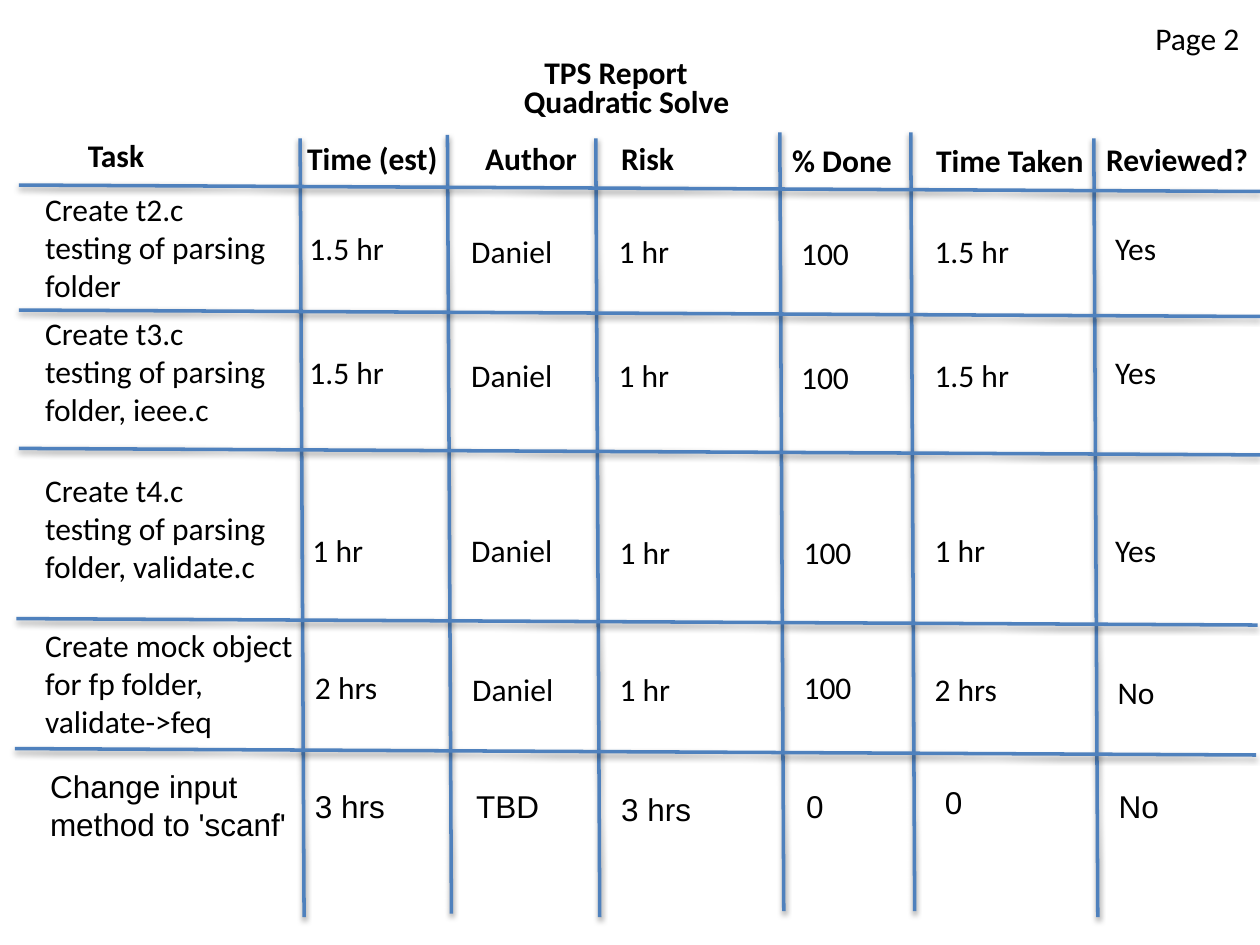
from lxml import etree
from pptx import Presentation, util as u
from pptx.dml.color import RGBColor
from pptx.enum import shapes, text
from pptx.oxml import parse_xml
from pptx.oxml.ns import nsdecls

COLORS = {"ink": "000000", "rule": "4F81BD"}
TEXT_HEIGHT = 1.02
HEADER_WIDTH = 3.86
TASK_WIDTH = 5.59
NEW_TASK_CELL_WIDTH = 2.54
VALUE_WIDTHS = {"1.5 hr": 2.01, "1 hr": 1.52, "2 hrs": 1.75, "Daniel": 2.13,
                "100": 1.47, "Yes": 1.24, "No": 1.24}

HEADERS = [("Task", 1.52, 2.62), ("Time (est)", 5.94, 2.67),
           ("Author", 9.53, 2.67), ("Risk", 12.27, 2.67),
           ("% Done", 15.72, 2.72), ("Time Taken", 18.62, 2.72),
           ("Reviewed?", 22.05, 2.69)]

# Each row: cell texts, cell lefts, cell tops (cm)
FIRST_LEFTS = [0.66, 5.99, 9.25, 12.22, 15.9, 18.59, 22.23]
FIRST_TOPS = [3.71, 4.5, 4.55, 4.55, 4.6, 4.55, 4.5]
ROW_STEP = 2.5
FINISHED = ["1.5 hr", "Daniel", "1 hr", "100", "1.5 hr", "Yes"]
ROWS = [
    (["Create t2.c\ntesting of parsing\nfolder", *FINISHED],
     FIRST_LEFTS, FIRST_TOPS),
    (["Create t3.c\ntesting of parsing\nfolder, ieee.c", *FINISHED],
     FIRST_LEFTS, [top + ROW_STEP for top in FIRST_TOPS]),
    (["Create t4.c\ntesting of parsing\nfolder, validate.c",
      "1 hr", "Daniel", "1 hr", "100", "1 hr", "Yes"],
     [0.66, 6.05, 9.25, 12.24, 15.95, 18.59, 22.23],
     [9.37, 10.59, 10.59, 10.62, 10.62, 10.59, 10.59]),
    (["Create mock object\nfor fp folder,\nvalidate->feq",
      "2 hrs", "Daniel", "1 hr", "100", "2 hrs", "No"],
     [0.66, 6.1, 9.27, 12.24, 15.95, 18.59, 22.28],
     [12.5, 13.34, 13.39, 13.39, 13.34, 13.39, 13.44]),
]
NEW_TASK_ROW = (
    ["Change input method to 'scanf'", "3 hrs", "TBD", "3 hrs", "0", "0", "No"],
    [0.76, 6.1, 9.35, 12.27, 16, 18.8, 22.3],
    [15.34, 15.75, 15.75, 15.8, 15.75, 15.67, 15.75])

# Start points of the slightly slanted rules (cm)
COLUMN_RULES = [(6.05, 2.79), (9.02, 2.72), (12.01, 2.79),
                (15.72, 2.67), (18.36, 2.67), (22.05, 2.79)]
COLUMN_RUN = (0.08, 15.7)
ROW_RULES = [(0.38, 3.73), (0.38, 6.25), (0.38, 9.04), (0.33, 12.47), (0.3, 15.09)]
ROW_RUN = (25.02, 0.13)

SHADOW = (f'<a:effectLst {nsdecls("a")}><a:outerShdw blurRad="40000" dist="20000" '
          'dir="5400000" rotWithShape="0"><a:srgbClr val="000000">'
          '<a:alpha val="38000"/></a:srgbClr></a:outerShdw></a:effectLst>')


def format_text(frame, wording, font, bold, wrap):
    frame.text = wording
    frame.word_wrap = wrap
    frame.auto_size = text.MSO_AUTO_SIZE.NONE
    frame.vertical_anchor = text.MSO_ANCHOR.TOP
    for paragraph in frame.paragraphs:
        paragraph.alignment = text.PP_ALIGN.LEFT
        paragraph.font.name = font
        paragraph.font.size = u.Pt(18)
        paragraph.font.bold = bold
        paragraph.font.color.rgb = RGBColor.from_string(COLORS["ink"])


def add_label(slide, wording, left, top, width, font="Calibri", bold=False, wrap=False):
    height = TEXT_HEIGHT + 0.76 * wording.count("\n")
    label = slide.shapes.add_textbox(u.Cm(left), u.Cm(top), u.Cm(width), u.Cm(height))
    format_text(label.text_frame, wording, font, bold, wrap)


def add_rule(slide, start, run):
    """Draw a shadowed line from start, extending by run (both in cm)."""
    (x, y), (across, down) = start, run
    rule = slide.shapes.add_connector(
        shapes.MSO_CONNECTOR.STRAIGHT,
        u.Cm(x), u.Cm(y), u.Cm(x + across), u.Cm(y + down))
    rule.line.color.rgb = RGBColor.from_string(COLORS["rule"])
    rule.line.width = u.Pt(2)
    rule._element.spPr.append(parse_xml(SHADOW))


def add_titles(slide):
    title = slide.shapes.title
    title.left, title.top = u.Cm(10.72), u.Cm(0.94)
    title.width, title.height = u.Cm(3.48), u.Cm(TEXT_HEIGHT)
    format_text(title.text_frame, "TPS Report", "Calibri", True, True)
    add_label(slide, "Quadratic Solve", 10.31, 1.52, 4.65, bold=True)
    add_label(slide, "Page 2", 23.04, 0.25, 2.18)


def add_tasks(slide):
    for wording, left, top in HEADERS:
        add_label(slide, wording, left, top, HEADER_WIDTH, bold=True, wrap=True)
    for row in ROWS:
        for wording, left, top in zip(*row):
            add_label(slide, wording, left, top, VALUE_WIDTHS.get(wording, TASK_WIDTH))
    for column, (wording, left, top) in enumerate(zip(*NEW_TASK_ROW)):
        width = NEW_TASK_CELL_WIDTH if column else TASK_WIDTH
        add_label(slide, wording, left, top, width, font="Arial", wrap=True)


def main():
    deck = Presentation()
    deck.slide_width, deck.slide_height = u.Cm(25.4), u.Cm(19.05)
    slide = deck.slides.add_slide(deck.slide_layouts[5])
    add_titles(slide)
    for start in COLUMN_RULES:
        add_rule(slide, start, COLUMN_RUN)
    for start in ROW_RULES:
        add_rule(slide, start, ROW_RUN)
    add_tasks(slide)
    deck.save("out.pptx")


if __name__ == "__main__":
    main()
